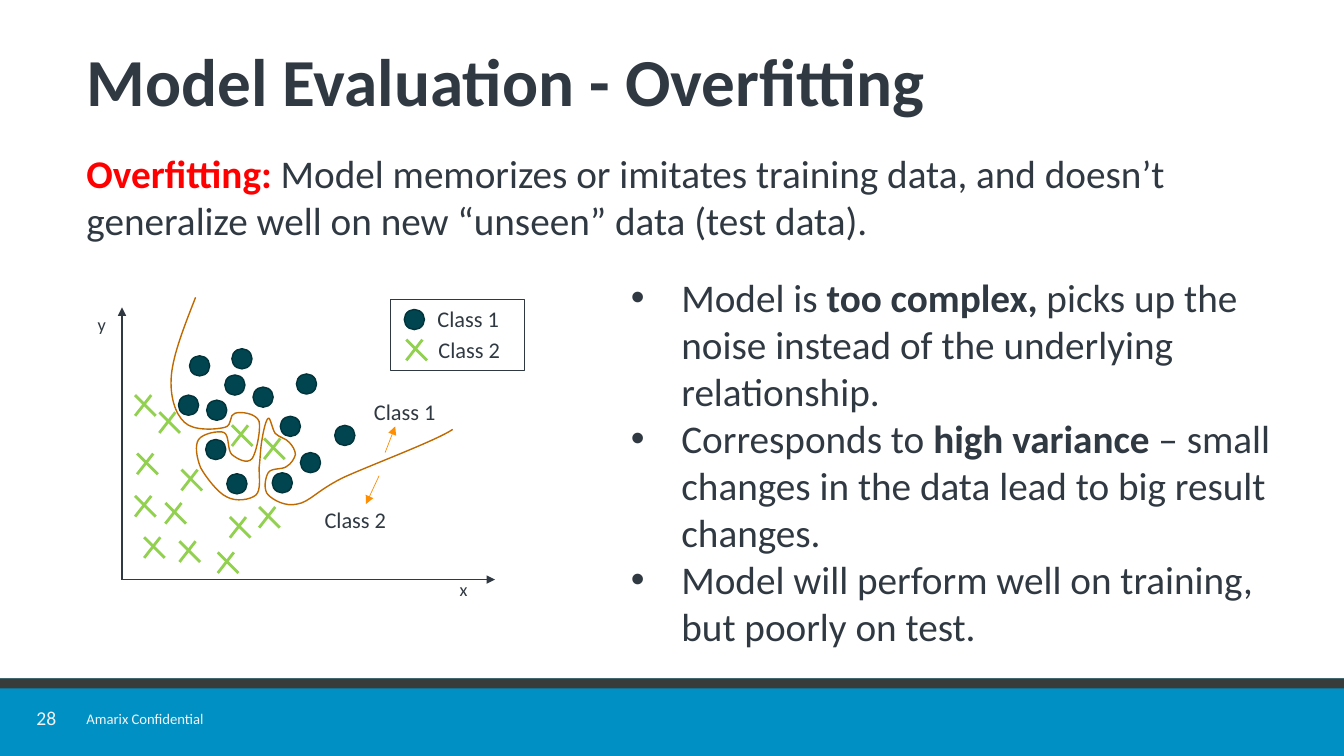
import pptx
import pptx.util
import pptx.dml.color
import pptx.enum.shapes
import pptx.enum.text
import pptx.oxml.ns
from dataclasses import dataclass
from lxml import etree

# Content: each run is (text, style)
TITLE = "Model Evaluation - Overfitting"
LEAD = [[("Overfitting:", "alert"),
         (" Model memorizes or imitates training data, and doesn’t generalize "
          "well on new “unseen” data (test data).", "")]]
POINTS = [
    [("Model is ", ""), ("too complex, ", "bold"),
     ("picks up the noise instead of the underlying relationship.", "")],
    [("Corresponds to ", ""), ("high variance", "bold"),
     (" – small changes in the data lead to big result changes.", "")],
    [("Model will perform well on training, but poorly on test.", "")],
]
NUMBER, FOOTER = "28", "Amarix Confidential"

# Places, in cells of a grid of 1333 columns by 750 rows
COLS, ROWS = 1333, 750
DOT, CROSS, NECK = 20, 20.5, 16
DOTS = [(188, 353), (177, 392), (205, 397), (204, 436), (225, 470), (270, 469),
        (298, 449), (230, 346), (223, 372), (251, 384), (278, 413), (294, 371),
        (332, 422), (401, 307)]
CROSSES = [(143, 533), (178, 537), (134, 492), (164, 499), (216, 548), (228, 513),
           (136, 450), (180, 466), (158, 409), (230, 422), (262, 435), (257, 503),
           (134, 392), (403, 337)]
LEGEND = (387, 297, 133, 71)
LABELS = [("y", "axis", (87, 306, 33, 40)), ("x", "axis", (446, 569, 33, 40)),
          ("Class 1", "label", (424, 298, 99, 37)),
          ("Class 2", "label", (425, 329, 99, 37)),
          ("Class 1", "label", (361, 390, 101, 37)),
          ("Class 2", "label", (312, 497, 101, 37))]
AXES = [(121, 575, 491, 575), (121, 575, 121, 305)]
HINTS = [(382, 449, 392, 423), (376, 472, 363, 500)]
# Boundary: a start point, then two control points and an end for each bend
START = (194, 295)
BENDS = [
    (183, 323, 172, 351, 170, 372), (168, 393, 174, 411, 183, 419),
    (192, 428, 215, 426, 223, 424), (231, 422, 227, 411, 233, 410),
    (239, 408, 254, 410, 257, 418), (259, 426, 254, 450, 250, 455),
    (245, 461, 235, 455, 230, 451), (225, 446, 228, 432, 222, 429),
    (217, 427, 201, 430, 197, 436), (193, 442, 195, 454, 199, 464),
    (204, 473, 216, 489, 225, 493), (234, 498, 248, 496, 254, 491),
    (259, 486, 257, 473, 257, 464), (258, 456, 258, 451, 259, 442),
    (260, 434, 263, 417, 266, 415), (268, 413, 270, 426, 273, 430),
    (277, 434, 284, 435, 287, 439), (290, 442, 293, 447, 293, 451),
    (292, 455, 289, 460, 284, 463), (280, 466, 269, 464, 266, 469),
    (263, 474, 261, 486, 266, 491), (271, 496, 283, 503, 295, 500),
    (307, 498, 314, 487, 340, 474), (366, 462, 433, 437, 449, 426),
]


@dataclass(frozen=True)
class Theme:
    font: str = "Calibri"
    ink: str = "303942"
    alert: str = "FF0000"
    pale: str = "F2F2F2"
    band: str = "0090C3"
    strip: str = "383D3B"
    dot: str = "00454F"
    rim: str = "00333A"
    cross: str = "92D050"
    curve: str = "BF6A00"
    hint: str = "FF8E00"
    title: float = 48
    body: float = 28
    label: float = 16
    axis: float = 13
    number: float = 14
    footer: float = 10.5


THEME = Theme()
SHAPE = pptx.enum.shapes.MSO_SHAPE
MIDDLE = pptx.enum.text.MSO_ANCHOR.MIDDLE
CENTER = pptx.enum.text.PP_ALIGN.CENTER
deck = pptx.Presentation()
deck.slide_width = pptx.util.Inches(13.33)
deck.slide_height = pptx.util.Inches(7.5)
slide = deck.slides.add_slide(deck.slide_layouts[6])
shapes = slide.shapes
CELL = deck.slide_height // ROWS


def cells(*counts):
    return [round(n * CELL) for n in counts]


def color(code):
    return pptx.dml.color.RGBColor.from_string(code)


def node(host, tag, **attrs):
    return etree.SubElement(host, pptx.oxml.ns.qn(tag), **attrs)


def paint(shape, fill=None, line=None, width=1.0):
    shape.shadow.inherit = False
    if fill:
        shape.fill.solid()
        shape.fill.fore_color.rgb = color(fill)
    else:
        shape.fill.background()
    if line:
        shape.line.color.rgb = color(line)
        shape.line.width = pptx.util.Pt(width)
    else:
        shape.line.fill.background()


def draw(kind, place, *style):
    paint(shapes.add_shape(kind, *cells(*place)), *style)


def stroke(ends, tone, width, arrow=False):
    line = shapes.add_connector(pptx.enum.shapes.MSO_CONNECTOR.STRAIGHT, *cells(*ends))
    line.line.color.rgb = color(tone)
    line.line.width = pptx.util.Pt(width)
    if arrow:
        node(line.line._get_or_add_ln(), "a:tailEnd", type="triangle")
    node(line._element.spPr, "a:effectLst")


def write(place, paras, size, tone=THEME.ink, bullet=False, wrap=True):
    """Add a text box of styled runs and return its frame."""
    frame = shapes.add_textbox(*cells(*place)).text_frame
    frame.word_wrap = wrap
    for i, runs in enumerate(paras):
        para = frame.paragraphs[0] if i == 0 else frame.add_paragraph()
        if bullet:
            props = para._p.get_or_add_pPr()
            indent = pptx.util.Inches(0.5)
            props.set("marL", str(indent))
            props.set("indent", str(-indent))
            node(props, "a:buFont", typeface="Arial")
            node(props, "a:buChar", char="•")
        for text, style in runs:
            run = para.add_run()
            run.text = text
            run.font.name = THEME.font
            run.font.size = pptx.util.Pt(size)
            run.font.bold = style in ("bold", "alert")
            run.font.color.rgb = color(THEME.alert if style == "alert" else tone)
    return frame


def curve(start, bends):
    """Draw an open outline whose every segment is a cubic curve."""
    outline = shapes.build_freeform(*cells(*start))
    outline.add_line_segments([cells(*bend[4:]) for bend in bends], close=False)
    shape = outline.convert_to_shape()
    legs = list(shape._element.iter(pptx.oxml.ns.qn("a:lnTo")))
    for leg, bend in zip(legs, bends):
        arc = etree.Element(pptx.oxml.ns.qn("a:cubicBezTo"))
        spots = cells(*bend)
        for x, y in zip(spots[::2], spots[1::2]):
            node(arc, "a:pt", x=str(x - shape.left), y=str(y - shape.top))
        leg.getparent().replace(leg, arc)
    return shape


# Footer and text
draw(SHAPE.RECTANGLE, (0, 673, COLS, 77), THEME.band)
draw(SHAPE.RECTANGLE, (0, 673, COLS, 10), THEME.strip)
page = write((33, 702, 26, 23), [[(NUMBER, "")]], THEME.number, THEME.pale)
page.margin_left = page.margin_right = page.margin_top = page.margin_bottom = 0
page.vertical_anchor = MIDDLE
page.paragraphs[0].alignment = CENTER
page.paragraphs[0].line_spacing = 0.9
write((76, 699, 160, 28), [[(FOOTER, "")]], THEME.footer, THEME.pale, wrap=False)
head = write((76, 32, 1191, 108), [[(TITLE, "bold")]], THEME.title)
head.vertical_anchor = MIDDLE
head.paragraphs[0].line_spacing = 0.8
write((76, 143, 1190, 503), LEAD, THEME.body)

# Scatter plot
for ends in AXES:
    stroke(ends, THEME.ink, 1, True)
for x, y in CROSSES:
    stroke((x, y, x + CROSS, y + CROSS), THEME.cross, 2)
    stroke((x + NECK, y, x, y + CROSS), THEME.cross, 2)
for x, y in DOTS:
    draw(SHAPE.OVAL, (x, y, DOT, DOT), THEME.dot, THEME.rim)
for text, size, place in LABELS:
    write(place, [[(text, "")]], getattr(THEME, size))
draw(SHAPE.RECTANGLE, LEGEND, None, THEME.ink, 0.75)
paint(curve(START, BENDS), None, THEME.curve)
for ends in HINTS:
    stroke(ends, THEME.hint, 0.5, True)

write((616, 266, 669, 387), POINTS, THEME.body, bullet=True)
deck.save("out.pptx")
